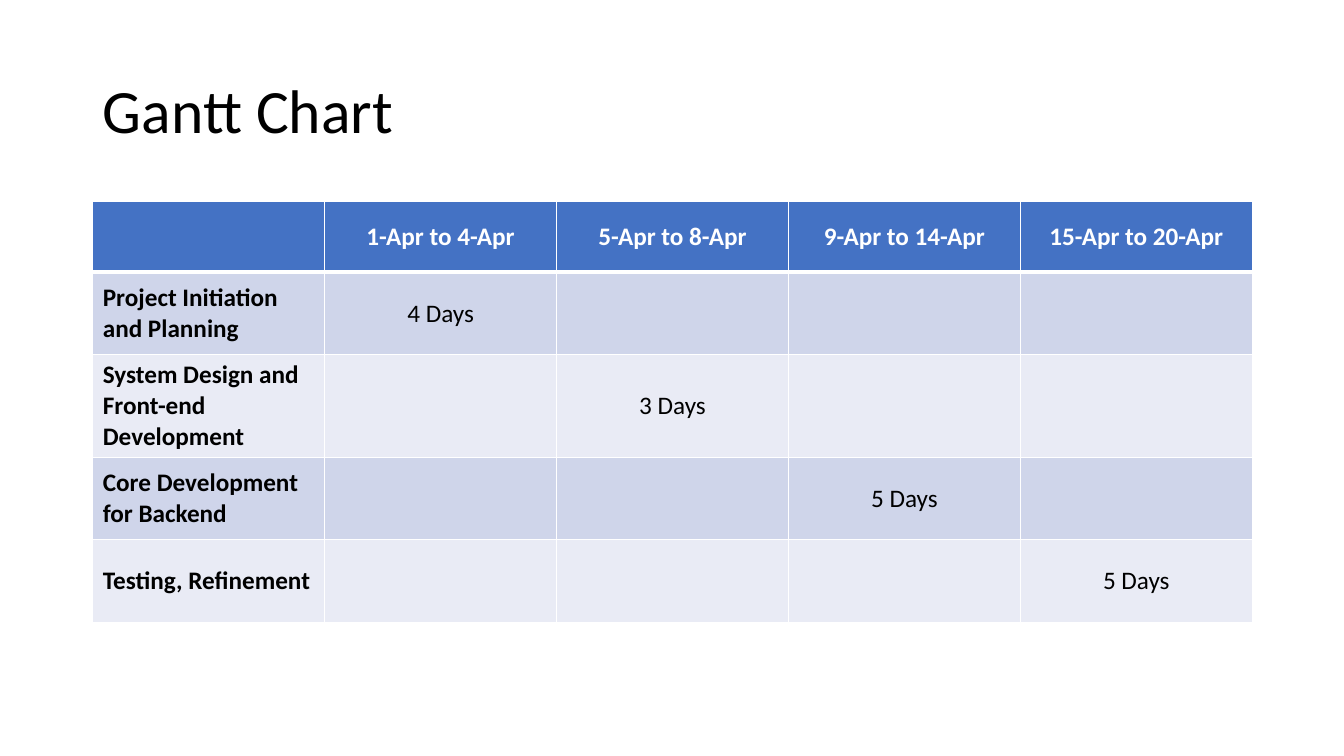
"""Build a slide with a project schedule table."""
from lxml.etree import SubElement
from pptx import Presentation
from pptx.dml.color import RGBColor
from pptx.enum.text import MSO_ANCHOR as Anchor, MSO_AUTO_SIZE as AutoSize, PP_ALIGN as Align
from pptx.oxml.ns import qn
from pptx.util import Inches, Pt

BLACK = RGBColor(0x00, 0x00, 0x00)
WHITE = RGBColor(0xFF, 0xFF, 0xFF)
HEADER_BLUE = RGBColor(0x44, 0x72, 0xC4)
BANDS = (RGBColor(0xCF, 0xD5, 0xEA), RGBColor(0xE9, 0xEB, 0xF5))

FONT = "Calibri"
TITLE_ONLY = 5
LEFT = 0.92
COLUMN_WIDTH = 2.3
HEADER_HEIGHT = 0.7
ROW_HEIGHT = 0.82

PERIODS = ["1-Apr to 4-Apr", "5-Apr to 8-Apr", "9-Apr to 14-Apr", "15-Apr to 20-Apr"]
TASKS = [
    ("Project Initiation and Planning", "4 Days"),
    ("System Design and Front-end Development", "3 Days"),
    ("Core Development for Backend", "5 Days"),
    ("Testing, Refinement", "5 Days"),
]


def write_text(frame, text, size=18, color=BLACK, bold=False, align=Align.LEFT, spacing=1.0):
    paragraph = frame.paragraphs[0]
    paragraph.alignment = align
    paragraph.line_spacing = spacing
    font = paragraph.font
    if text:
        run = paragraph.add_run()
        run.text = text
        font = run.font
    font.name = FONT
    font.size = Pt(size)
    font.bold = bold
    font.color.rgb = color


def set_borders(cell, top=1, bottom=1):
    properties = cell._tc.get_or_add_tcPr()
    for side, width in (("L", 1), ("R", 1), ("T", top), ("B", bottom)):
        line = SubElement(properties, qn(f"a:ln{side}"), w=str(Pt(width)))
        fill = SubElement(line, qn("a:solidFill"))
        SubElement(fill, qn("a:srgbClr"), val=str(WHITE))


def format_cell(cell, text, fill, top=1, bottom=1, **text_format):
    set_borders(cell, top, bottom)
    cell.fill.solid()
    cell.fill.fore_color.rgb = fill
    cell.vertical_anchor = Anchor.MIDDLE
    write_text(cell.text_frame, text, **text_format)


def add_title(slide, text):
    title = slide.shapes.title
    title.left, title.top = Inches(LEFT), Inches(0.4)
    title.width, title.height = Inches(5 * COLUMN_WIDTH), Inches(1.45)
    frame = title.text_frame
    frame.auto_size = AutoSize.NONE
    frame.vertical_anchor = Anchor.MIDDLE
    write_text(frame, text, size=44, spacing=0.9)


def add_schedule(slide):
    rows, columns = len(TASKS) + 1, len(PERIODS) + 1
    height = HEADER_HEIGHT + len(TASKS) * ROW_HEIGHT
    table = slide.shapes.add_table(
        rows, columns, Inches(LEFT), Inches(2), Inches(columns * COLUMN_WIDTH), Inches(height)
    ).table
    table.horz_banding = False
    for column in table.columns:
        column.width = Inches(COLUMN_WIDTH)
    for index, row in enumerate(table.rows):
        row.height = Inches(ROW_HEIGHT if index else HEADER_HEIGHT)

    for column, period in enumerate([""] + PERIODS):
        format_cell(table.cell(0, column), period, HEADER_BLUE, bottom=3,
                    color=WHITE, bold=True, align=Align.CENTER)
    for row, (task, duration) in enumerate(TASKS, start=1):
        band = BANDS[(row - 1) % 2]
        top = 3 if row == 1 else 1
        format_cell(table.cell(row, 0), task, band, top=top, bold=True)
        for column in range(1, columns):
            text = duration if column == row else ""
            format_cell(table.cell(row, column), text, band, top=top, align=Align.CENTER)


def main():
    presentation = Presentation()
    presentation.slide_width = Inches(13.33)
    presentation.slide_height = Inches(7.5)
    slide = presentation.slides.add_slide(presentation.slide_layouts[TITLE_ONLY])
    add_title(slide, "Gantt Chart")
    add_schedule(slide)
    presentation.save("out.pptx")


if __name__ == "__main__":
    main()
